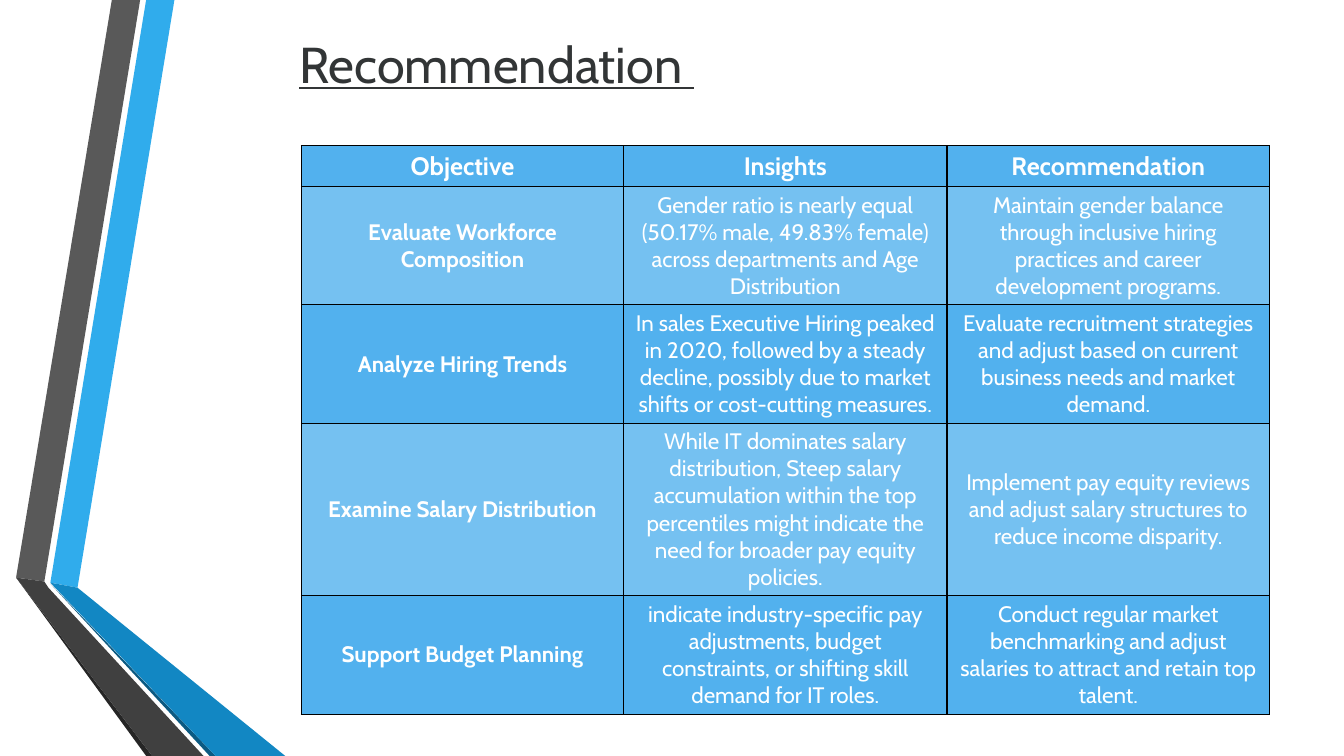
from lxml import etree
from pptx import Presentation
from pptx.dml.color import RGBColor
from pptx.enum.text import MSO_ANCHOR, MSO_AUTO_SIZE, PP_ALIGN
from pptx.oxml import parse_xml
from pptx.oxml.ns import nsdecls
from pptx.util import Pt

CENTER, LEFT = PP_ALIGN.CENTER, PP_ALIGN.LEFT
MIDDLE = MSO_ANCHOR.MIDDLE
NO_FIT = MSO_AUTO_SIZE.NONE

FONT = "Cabin"
WHITE = RGBColor(0xFF, 0xFF, 0xFF)
TITLE_INK = RGBColor(0x32, 0x35, 0x36)
ROW_BLUE = RGBColor(0x52, 0xB1, 0xEE)
ROW_LIGHT = RGBColor(0x75, 0xC1, 0xF1)
RIBBON_BLUE = RGBColor(0x30, 0xAC, 0xEC)
FOLD_BLUE = RGBColor(0x12, 0x87, 0xC3)
EDGE_BLUE = RGBColor(0x0C, 0x5A, 0x82)
RIBBON_GREY = RGBColor(0x59, 0x59, 0x59)
FOLD_GREY = RGBColor(0x40, 0x40, 0x40)
EDGE_GREY = RGBColor(0x26, 0x26, 0x26)

PAGE_WIDTH, PAGE_HEIGHT = 960, 540

# Ribbon outlines in points from the top left of the ribbon area
RIBBONS = [
    (RIBBON_BLUE, [(36, 416.2), (55.4, 419.8), (124.6, 0), (104.4, 0)]),
    (RIBBON_GREY, [(100.1, 0), (79.9, 0), (11.5, 412.6), (31.7, 415.4)]),
    (EDGE_GREY, [(11.5, 412.6), (104.4, 540), (108.7, 540)]),
    (EDGE_BLUE, [(36, 416.9), (149.8, 540), (154.1, 540)]),
    (FOLD_BLUE, [(36, 416.2), (154.1, 540), (203.8, 540), (55.4, 419.8)]),
    (FOLD_GREY, [(145.4, 540), (34.6, 419.8), (31.7, 415.4), (11.5, 412.6), (108.7, 540)]),
]

COLUMN_SHARES = [230.2, 231, 230.4]
ROW_HEIGHTS = [29.2, 84.4, 84.4, 123.2, 84.4]
ROWS = [
    ("Objective", "Insights", "Recommendation"),
    ("Evaluate Workforce Composition",
     "Gender ratio is nearly equal (50.17% male, 49.83% female) across departments "
     "and Age Distribution",
     "Maintain gender balance through inclusive hiring practices and career "
     "development programs."),
    ("Analyze Hiring Trends",
     "In sales Executive Hiring peaked in 2020, followed by a steady decline, "
     "possibly due to market shifts or cost-cutting measures.",
     "Evaluate recruitment strategies and adjust based on current business needs "
     "and market demand."),
    ("Examine Salary Distribution",
     "While IT dominates salary distribution, Steep salary accumulation within the "
     "top percentiles might indicate the need for broader pay equity policies.",
     "Implement pay equity reviews and adjust salary structures to reduce income "
     "disparity."),
    ("Support Budget Planning",
     "indicate industry-specific pay adjustments, budget constraints, or shifting "
     "skill demand for IT roles.",
     "Conduct regular market benchmarking and adjust salaries to attract and retain "
     "top talent."),
]


def style_text(frame, size, color, align, bold=False, underline=False):
    for para in frame.paragraphs:
        para.alignment = align
        for span in para.runs:
            span.font.name = FONT
            span.font.size = Pt(size)
            span.font.bold = bold
            span.font.underline = underline
            span.font.color.rgb = color


def add_ribbons(page, left, top):
    for color, outline in RIBBONS:
        points = [(Pt(left + x), Pt(top + y)) for x, y in outline]
        builder = page.shapes.build_freeform(*points[0])
        builder.add_line_segments(points[1:], close=True)
        ribbon = builder.convert_to_shape()
        ribbon.shadow.inherit = False
        ribbon.fill.solid()
        ribbon.fill.fore_color.rgb = color
        ribbon.line.fill.background()


def add_title(page, left, top, width, height):
    title = page.shapes.title
    title.left, title.top, title.width, title.height = map(Pt, (left, top, width, height))
    frame = title.text_frame
    frame.text = "Recommendation "
    frame.auto_size = NO_FIT
    frame.vertical_anchor = MIDDLE
    style_text(frame, 36, TITLE_INK, LEFT, underline=True)


def add_borders(cell):
    properties = cell._tc.get_or_add_tcPr()
    for position, side in enumerate(("lnL", "lnR", "lnT", "lnB")):
        border = parse_xml(f'<a:{side} {nsdecls("a")} w="{Pt(1)}"/>')
        fill = etree.SubElement(border, border.tag.replace(side, "solidFill"))
        etree.SubElement(fill, border.tag.replace(side, "srgbClr"), val="000000")
        properties.insert(position, border)


def add_recommendations(page, left, top, width):
    frame = page.shapes.add_table(
        len(ROWS), len(COLUMN_SHARES),
        Pt(left), Pt(top), Pt(width), Pt(sum(ROW_HEIGHTS)))
    table = frame.table
    for column, share in zip(table.columns, COLUMN_SHARES):
        column.width = Pt(width * share / sum(COLUMN_SHARES))
    for r, (height, texts) in enumerate(zip(ROW_HEIGHTS, ROWS)):
        table.rows[r].height = Pt(height)
        for c, text in enumerate(texts):
            cell = table.cell(r, c)
            cell.text_frame.text = text
            cell.vertical_anchor = MIDDLE
            cell.fill.solid()
            cell.fill.fore_color.rgb = ROW_LIGHT if r % 2 else ROW_BLUE
            add_borders(cell)
            style_text(cell.text_frame, 16 if r else 18, WHITE, CENTER,
                       bold=r == 0 or c == 0)


def main():
    deck = Presentation()
    deck.slide_width, deck.slide_height = Pt(PAGE_WIDTH), Pt(PAGE_HEIGHT)
    page = deck.slides.add_slide(deck.slide_layouts[5])
    # Folded ribbons on the left edge
    add_ribbons(page, 0, 0)
    # Heading and table
    add_title(page, 206.6, 19.4, 446.4, 51.1)
    add_recommendations(page, 215.3, 104, 691.6)
    deck.save("out.pptx")


if __name__ == "__main__":
    main()
